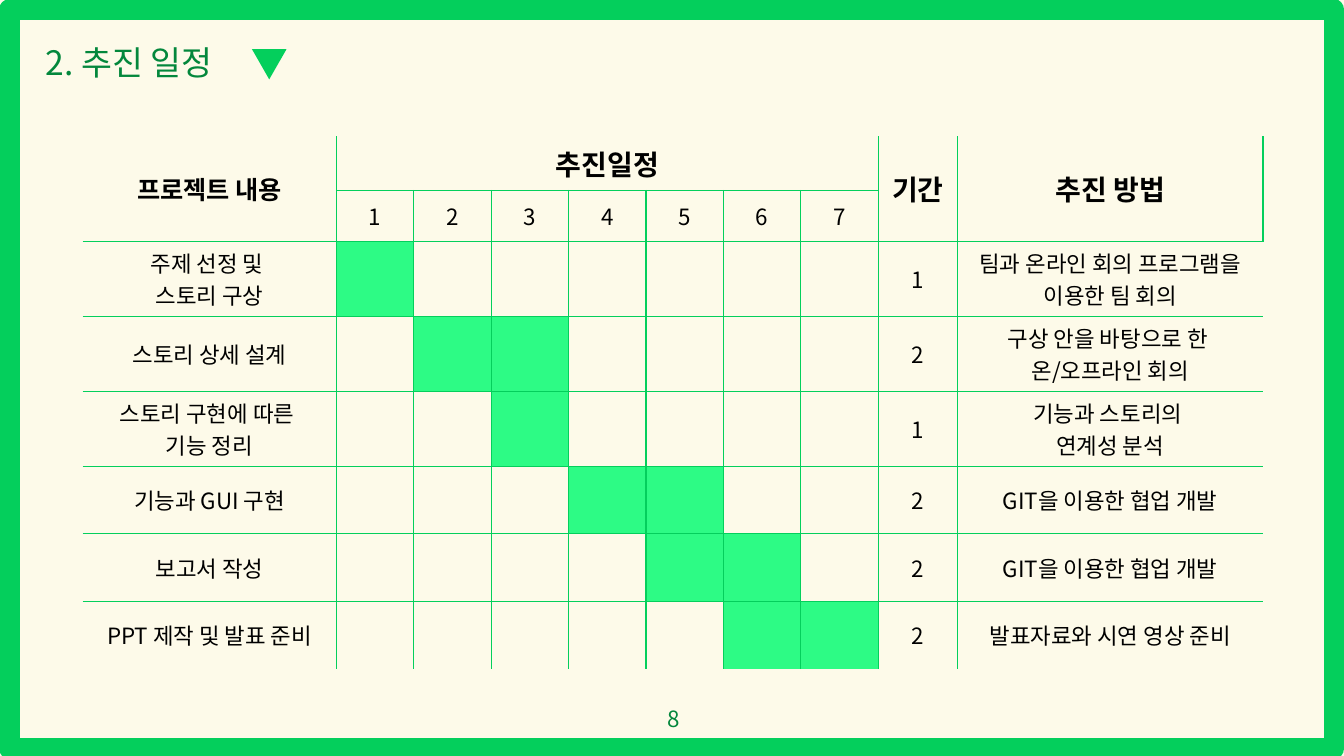
"""Build the project schedule slide with its Gantt table."""
from dataclasses import dataclass

from lxml.etree import SubElement
from pptx import Presentation
from pptx.dml.color import RGBColor
from pptx.enum.shapes import MSO_SHAPE as Preset
from pptx.enum.text import MSO_ANCHOR as Anchor, PP_ALIGN as Align
from pptx.oxml.ns import qn
from pptx.slide import Slide
from pptx.table import Table, _Cell as Cell
from pptx.text.text import TextFrame
from pptx.util import Cm, Pt

FONT = "Noto Sans CJK KR"
CREAM = RGBColor(0xFD, 0xFA, 0xE9)
GREEN = RGBColor(0x04, 0xCF, 0x5C)
DARK_GREEN = RGBColor(0x03, 0x87, 0x3C)
BAR_GREEN = RGBColor(0x2D, 0xFB, 0x85)
BLACK = RGBColor(0, 0, 0)
NO_STYLE = "{2D5ABB26-0587-4C30-8999-92F81FD0307C}"

WEEKS = 7
PERIOD_COLUMN = WEEKS + 1
METHOD_COLUMN = WEEKS + 2
HEADER_ROWS = 2
COLUMN_WIDTHS = [6.4] + [1.95] * WEEKS + [2, 7.7]
ROW_HEIGHTS = [1.37, 1.28] + [1.89] * 3 + [1.7] * 3


@dataclass(frozen=True)
class Heading:
    text: str
    size: int
    column: int
    last_row: int
    last_column: int


@dataclass(frozen=True)
class Task:
    name: list[str]
    weeks: list[int]
    period: int
    method: list[str]


@dataclass(frozen=True)
class Label:
    text: str
    size: int
    left: float
    top: float
    width: float
    height: float
    align: Align
    anchor: Anchor
    line_spacing: float


HEADINGS = [
    Heading("프로젝트 내용", 18, 0, 1, 0),
    Heading("추진일정", 20, 1, 0, WEEKS),
    Heading("기간", 20, PERIOD_COLUMN, 1, PERIOD_COLUMN),
    Heading("추진 방법", 20, METHOD_COLUMN, 1, METHOD_COLUMN),
]
TASKS = [
    Task(["주제 선정 및 ", "스토리 구상"], [1], 1, ["팀과 온라인 회의 프로그램을 이용한 팀 회의"]),
    Task(["스토리 상세 설계"], [2, 3], 2, ["구상 안을 바탕으로 한 ", "온/오프라인 회의"]),
    Task(["스토리 구현에 따른 ", "기능 정리"], [3], 1, ["기능과 스토리의 ", "연계성 분석"]),
    Task(["기능과 GUI 구현"], [4, 5], 2, ["GIT을 이용한 협업 개발"]),
    Task(["보고서 작성"], [5, 6], 2, ["GIT을 이용한 협업 개발"]),
    Task(["PPT 제작 및 발표 준비"], [6, 7], 2, ["발표자료와 시연 영상 준비"]),
]
LABELS = [
    Label("8", 16, 13.16, 17.65, 7.62, 1.02, Align.CENTER, Anchor.TOP, 1.0),
    Label("2. 추진 일정", 24, 0.91, 0.86, 9.63, 1.52, Align.LEFT, Anchor.MIDDLE, 0.9),
]


def write_lines(frame: TextFrame, lines: list[str], size: int, color: RGBColor,
                align: Align = Align.CENTER, bold: bool = False,
                line_spacing: float = 1.0) -> None:
    for number, line in enumerate(lines):
        para = frame.add_paragraph() if number else frame.paragraphs[0]
        para.alignment = align
        para.line_spacing = line_spacing
        span = para.add_run()
        span.text = line
        span.font.name = FONT
        span.font.size = Pt(size)
        span.font.bold = bold
        span.font.color.rgb = color
        SubElement(span.font._element, qn("a:ea"), typeface=FONT)


def add_label(page: Slide, label: Label) -> None:
    box = page.shapes.add_textbox(Cm(label.left), Cm(label.top), Cm(label.width), Cm(label.height))
    frame = box.text_frame
    frame.word_wrap = True
    frame.vertical_anchor = label.anchor
    write_lines(frame, [label.text], label.size, DARK_GREEN, label.align,
                line_spacing=label.line_spacing)


def add_decorations(page: Slide) -> None:
    frame = page.shapes.add_shape(Preset.RECTANGLE, Cm(0.24), Cm(0.25), Cm(33.38), Cm(18.61))
    frame.shadow.inherit = False
    frame.fill.background()
    frame.line.color.rgb = GREEN
    frame.line.width = Pt(15)
    marker = page.shapes.add_shape(Preset.ISOSCELES_TRIANGLE, Cm(6.35), Cm(1.24), Cm(0.87), Cm(0.76))
    marker.shadow.inherit = False
    marker.rotation = 180
    marker.fill.solid()
    marker.fill.fore_color.rgb = GREEN
    marker.line.fill.background()


def fill_cell(cell: Cell, lines: list[str], size: int = 16, bold: bool = False) -> None:
    cell.vertical_anchor = Anchor.MIDDLE
    write_lines(cell.text_frame, lines, size, BLACK, bold=bold)


def draw_borders(cell: Cell, sides: list[str]) -> None:
    properties = cell._tc.get_or_add_tcPr()
    for position, side in enumerate(sides):
        line = SubElement(properties, qn(f"a:ln{side}"), w=str(Pt(1)))
        SubElement(SubElement(line, qn("a:solidFill")), qn("a:srgbClr"), val=str(GREEN))
        properties.insert(position, line)


def style_grid(table: Table) -> None:
    last_row, last_column = len(ROW_HEIGHTS) - 1, len(COLUMN_WIDTHS) - 1
    for row in range(last_row + 1):
        for column in range(last_column + 1):
            cell = table.cell(row, column)
            if cell.is_spanned:
                continue
            task = TASKS[row - HEADER_ROWS] if row >= HEADER_ROWS else None
            if task and column in task.weeks:
                cell.fill.solid()
                cell.fill.fore_color.rgb = BAR_GREEN
            else:
                cell.fill.background()
            inner = {"L": column > 0, "R": column < last_column,
                     "T": row > 0, "B": row < last_row}
            draw_borders(cell, [side for side, shown in inner.items() if shown])


def add_schedule(page: Slide) -> None:
    table = page.shapes.add_table(
        len(ROW_HEIGHTS), len(COLUMN_WIDTHS), Cm(2.08), Cm(3.43),
        Cm(sum(COLUMN_WIDTHS)), Cm(sum(ROW_HEIGHTS))).table
    table._tbl.tblPr.find(qn("a:tableStyleId")).text = NO_STYLE
    table.horz_banding = False
    for column, width in zip(table.columns, COLUMN_WIDTHS):
        column.width = Cm(width)
    for row, height in zip(table.rows, ROW_HEIGHTS):
        row.height = Cm(height)
    for heading in HEADINGS:
        cell = table.cell(0, heading.column)
        cell.merge(table.cell(heading.last_row, heading.last_column))
        fill_cell(cell, [heading.text], heading.size, bold=True)
    for week in range(1, WEEKS + 1):
        fill_cell(table.cell(1, week), [str(week)])
    for row, task in enumerate(TASKS, HEADER_ROWS):
        fill_cell(table.cell(row, 0), task.name)
        fill_cell(table.cell(row, PERIOD_COLUMN), [str(task.period)])
        fill_cell(table.cell(row, METHOD_COLUMN), task.method)
    style_grid(table)


def main() -> None:
    deck = Presentation()
    deck.slide_width, deck.slide_height = Cm(33.87), Cm(19.05)
    page = deck.slides.add_slide(deck.slide_layouts[6])
    page.background.fill.solid()
    page.background.fill.fore_color.rgb = CREAM
    add_decorations(page)
    for label in LABELS:
        add_label(page, label)
    add_schedule(page)
    deck.save("out.pptx")


if __name__ == "__main__":
    main()
